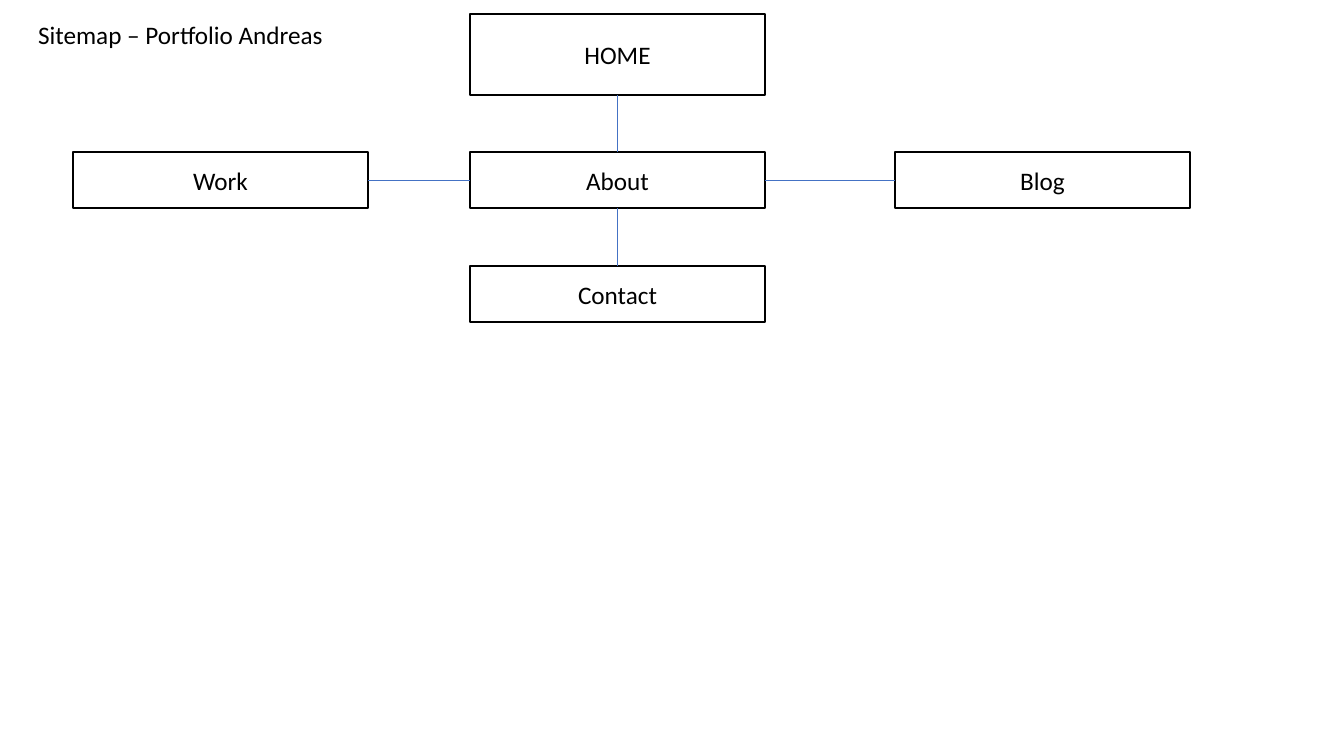
from dataclasses import dataclass

from lxml.etree import SubElement
from pptx import Presentation
from pptx.dml.color import RGBColor
from pptx.enum.shapes import MSO_CONNECTOR as Line, MSO_SHAPE as Kind
from pptx.enum.text import MSO_ANCHOR as Anchor, MSO_AUTO_SIZE as Fit, PP_ALIGN as Align
from pptx.oxml.ns import qn
from pptx.util import Pt

SCALE = 9071  # EMU per px
WIDTH, HEIGHT = 295, 56
MID, ROW = 470, 152
TOP, LEFT, BOTTOM, RIGHT = range(4)


@dataclass
class Page:
    name: str
    x: int
    y: int
    height: int = HEIGHT


@dataclass
class Link:
    start: str
    exit: int
    end: str
    entry: int


PAGES = [
    Page("HOME", MID, 14, 81),
    Page("About", MID, ROW),
    Page("Blog", 895, ROW),
    Page("Work", 73, ROW),
    Page("Contact", MID, 266),
]
LINKS = [
    Link("HOME", BOTTOM, "About", TOP),
    Link("Work", RIGHT, "About", LEFT),
    Link("About", RIGHT, "Blog", LEFT),
    Link("Contact", TOP, "About", BOTTOM),
]


def px(size: int) -> int:
    return size * SCALE


def tint(code: str) -> RGBColor:
    return RGBColor.from_string(code)


def write(shape, text: str, *, align=Align.LEFT, anchor=Anchor.TOP,
          size: int = 18, color: str = "000000", fit=Fit.NONE) -> None:
    frame = shape.text_frame
    frame.word_wrap = True
    frame.auto_size = fit
    frame.vertical_anchor = anchor
    para = frame.paragraphs[0]
    para.alignment = align
    run = para.add_run()
    run.text = text
    run.font.name = "Calibri"
    run.font.size = Pt(size)
    run.font.color.rgb = tint(color)


def add_page(slide, page: Page):
    box = slide.shapes.add_shape(
        Kind.RECTANGLE, px(page.x), px(page.y), px(WIDTH), px(page.height))
    box.shadow.inherit = False
    box.fill.solid()
    box.fill.fore_color.rgb = tint("FFFFFF")
    box.line.color.rgb = tint("000000")
    box.line.width = Pt(1)
    write(box, page.name, align=Align.CENTER, anchor=Anchor.MIDDLE)
    return box


def add_link(slide, link: Link, boxes: dict) -> None:
    line = slide.shapes.add_connector(Line.STRAIGHT, 0, 0, 0, 0)
    line.begin_connect(boxes[link.start], link.exit)
    line.end_connect(boxes[link.end], link.entry)
    line.line.color.rgb = tint("4472C4")
    line.line.width = Pt(0.5)
    SubElement(line._element.spPr, qn("a:effectLst"))


def add_title(slide, text: str) -> None:
    title = slide.shapes.title
    title.left, title.top = px(28), px(14)
    title.width, title.height = px(369), px(40)
    write(title, text, fit=Fit.SHAPE_TO_FIT_TEXT)


def main() -> None:
    deck = Presentation()
    deck.slide_width, deck.slide_height = px(1344), px(756)
    slide = deck.slides.add_slide(deck.slide_layouts[5])
    add_title(slide, "Sitemap – Portfolio Andreas")
    boxes = {page.name: add_page(slide, page) for page in PAGES}
    for link in LINKS:
        add_link(slide, link, boxes)
    deck.save("out.pptx")


if __name__ == "__main__":
    main()
